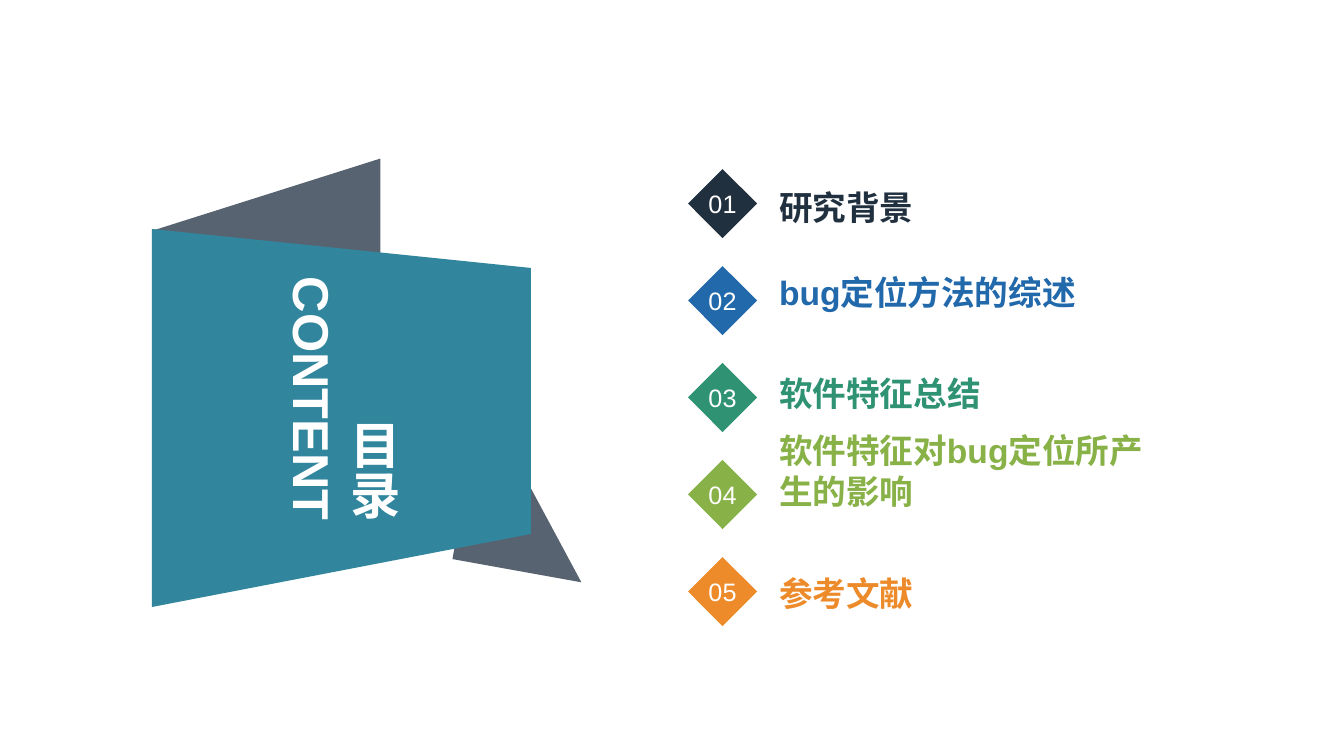
import pptx
import pptx.util
import pptx.dml.color
import pptx.enum.shapes
import pptx.enum.text

EMU_PER_PX = 914400 / 100.8
FONT = "Arial"
COLORS = {
    "white": "FFFFFF",
    "fold": "586371",
    "panel": "31859C",
    "navy": "21303F",
    "blue": "2169AB",
    "green": "2E9273",
    "lime": "88B147",
    "orange": "ED8B2B",
}

# Title, colour, top of the title box
ENTRIES = [
    ("研究背景", "navy", 200),
    ("bug定位方法的综述", "blue", 285),
    ("软件特征总结", "green", 386),
    ("软件特征对bug定位所产生的影响", "lime", 484),
    ("参考文献", "orange", 586),
]
DIAMOND_LEFT, DIAMOND_TOP, DIAMOND_SIZE, DIAMOND_PITCH = 688, 169, 69, 97
PANEL_CORNERS = [(152, 229), (531, 268), (531, 534), (152, 607)]


def px(length):
    return pptx.util.Emu(round(length * EMU_PER_PX))


def rgb(color):
    return pptx.dml.color.RGBColor.from_string(COLORS[color])


def paint(shape, color):
    shape.fill.solid()
    shape.fill.fore_color.rgb = rgb(color)
    shape.line.fill.background()
    shape.shadow.inherit = False


def add_preset(slide, kind, left, top, width, height, color, rotation=0):
    shape = slide.shapes.add_shape(kind, px(left), px(top), px(width), px(height))
    shape.rotation = rotation
    paint(shape, color)
    return shape


def add_panel(slide, corners, color):
    builder = slide.shapes.build_freeform(*corners[0], scale=EMU_PER_PX)
    builder.add_line_segments(corners[1:], close=True)
    paint(builder.convert_to_shape(), color)


def write(text_frame, text, size, color, alignment, bold=False):
    text_frame.text = text
    paragraph = text_frame.paragraphs[0]
    paragraph.alignment = alignment
    for run in paragraph.runs:
        run.font.name = FONT
        run.font.size = pptx.util.Pt(size)
        run.font.bold = bold
        run.font.color.rgb = rgb(color)


def set_frame(text_frame, anchor, left_inset=0):
    text_frame.word_wrap = False
    text_frame.vertical_anchor = anchor
    text_frame.margin_left = px(left_inset)
    text_frame.margin_top = text_frame.margin_right = text_frame.margin_bottom = 0


def add_vertical_heading(slide, text, left, top, width, height):
    box = slide.shapes.add_textbox(px(left), px(top), px(width), px(height))
    text_frame = box.text_frame
    text_frame.word_wrap = True
    text_frame._txBody.bodyPr.set("vert", "eaVert")
    write(text_frame, text, 36, "white", pptx.enum.text.PP_ALIGN.RIGHT, bold=True)


def add_entry(slide, index, title, color, title_top):
    # Numbered diamond
    diamond = add_preset(
        slide, pptx.enum.shapes.MSO_SHAPE.DIAMOND,
        DIAMOND_LEFT, DIAMOND_TOP + index * DIAMOND_PITCH,
        DIAMOND_SIZE, DIAMOND_SIZE, color)
    set_frame(diamond.text_frame, pptx.enum.text.MSO_ANCHOR.MIDDLE)
    write(diamond.text_frame, f"{index + 1:02d}", 18, "white",
          pptx.enum.text.PP_ALIGN.CENTER)

    # Title beside it
    box = slide.shapes.add_textbox(px(740), px(title_top), px(436), px(27))
    set_frame(box.text_frame, pptx.enum.text.MSO_ANCHOR.BOTTOM, left_inset=39)
    write(box.text_frame, title, 24, color, pptx.enum.text.PP_ALIGN.LEFT, bold=True)


def main():
    presentation = pptx.Presentation()
    presentation.slide_width = px(1344)
    presentation.slide_height = px(756)
    slide = presentation.slides.add_slide(presentation.slide_layouts[6])

    # Folded banner
    shapes = pptx.enum.shapes.MSO_SHAPE
    add_preset(slide, shapes.RIGHT_TRIANGLE, 466, 407, 131, 165, "fold", 10.2)
    add_preset(slide, shapes.ISOSCELES_TRIANGLE, 196, 117, 143, 226, "fold", 270)
    add_panel(slide, PANEL_CORNERS, "panel")
    add_vertical_heading(slide, "目录\vCONTENT", 235, 267, 174, 266)

    # Contents list
    for index, (title, color, title_top) in enumerate(ENTRIES):
        add_entry(slide, index, title, color, title_top)

    presentation.save("out.pptx")


if __name__ == "__main__":
    main()
